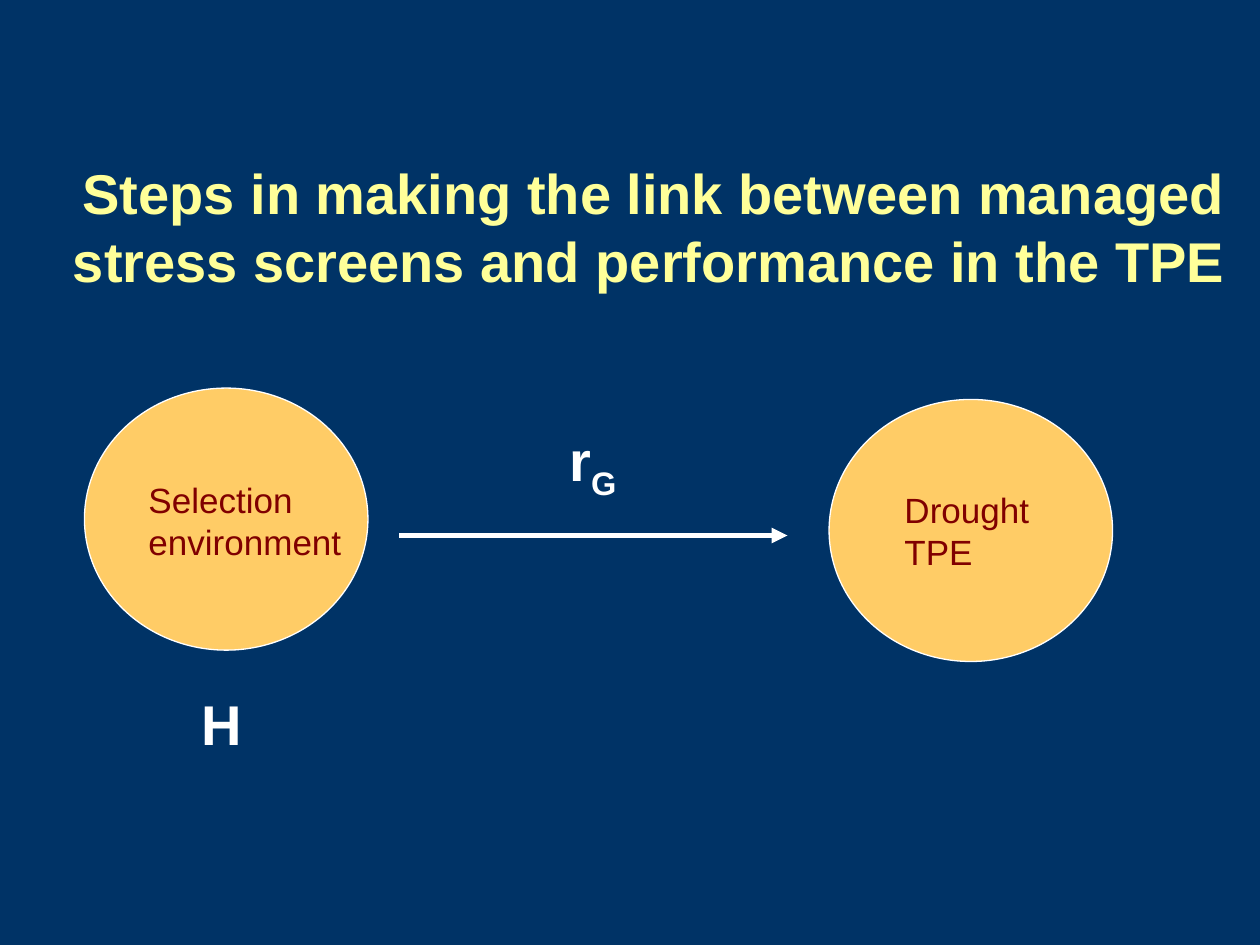
from lxml import etree
from pptx import Presentation
from pptx.dml.color import RGBColor
from pptx.enum.shapes import MSO_CONNECTOR, MSO_SHAPE
from pptx.enum.text import MSO_ANCHOR, PP_ALIGN
from pptx.oxml.ns import qn
from pptx.util import Inches, Pt

NAVY, WHITE, YELLOW = "003366", "FFFFFF", "FFFF99"
ORANGE, MAROON = "FFCC66", "800000"


def color(hex_string):
    return RGBColor.from_string(hex_string)


def format_runs(text_frame, size, hex_string, bold=False):
    for run in text_frame.paragraphs[0].runs:
        font = run.font
        font.name, font.size, font.bold = "Arial", Pt(size), bold
        font.color.rgb = color(hex_string)


def add_title(slide, text, left, top, width, height):
    title = slide.shapes.title
    title.left, title.top = Inches(left), Inches(top)
    title.width, title.height = Inches(width), Inches(height)
    text_frame = title.text_frame
    text_frame.text = text
    text_frame.word_wrap = True
    text_frame.vertical_anchor = MSO_ANCHOR.MIDDLE
    text_frame.paragraphs[0].alignment = PP_ALIGN.RIGHT
    format_runs(text_frame, 32, YELLOW, bold=True)


def add_label(slide, text, left, top, width, height, size, hex_string, bold=False):
    box = slide.shapes.add_textbox(
        Inches(left), Inches(top), Inches(width), Inches(height))
    text_frame = box.text_frame
    text_frame.text = text
    text_frame.word_wrap = True
    format_runs(text_frame, size, hex_string, bold)
    return text_frame


def add_environment(slide, text, left, top, label_dx, label_dy):
    """Draw an ellipse with a label offset from its top left corner."""
    ellipse = slide.shapes.add_shape(
        MSO_SHAPE.OVAL, Inches(left), Inches(top), Inches(2.25), Inches(2.08))
    ellipse.shadow.inherit = False
    ellipse.fill.solid()
    ellipse.fill.fore_color.rgb = color(ORANGE)
    ellipse.line.color.rgb = color(WHITE)
    ellipse.line.width = Pt(0.75)
    add_label(slide, text, left + label_dx, top + label_dy, 1.75, 0.77, 20, MAROON)


def add_correlation(slide, left, top, length):
    """Draw the arrow with the genetic correlation symbol above it."""
    arrow = slide.shapes.add_connector(
        MSO_CONNECTOR.STRAIGHT, Inches(left), Inches(top),
        Inches(left + length), Inches(top))
    arrow.line.color.rgb = color(WHITE)
    arrow.line.width = Pt(3)
    etree.SubElement(arrow.line._get_or_add_ln(), qn("a:tailEnd"), type="triangle")
    etree.SubElement(arrow._element.spPr, qn("a:effectLst"))

    symbol = add_label(slide, "r", left + 1.25, top - 0.92, 0.83, 0.71, 32, WHITE, True)
    subscript = symbol.paragraphs[0].add_run()
    subscript.text = "G"
    format_runs(symbol, 32, WHITE, bold=True)
    subscript.font._element.set("baseline", "-25000")


def main():
    presentation = Presentation()
    presentation.slide_width, presentation.slide_height = Inches(10), Inches(7.5)
    slide = presentation.slides.add_slide(presentation.slide_layouts[5])
    slide.background.fill.solid()
    slide.background.fill.fore_color.rgb = color(NAVY)

    add_title(slide, "Steps in making the link between managed stress screens "
              "and performance in the TPE", 0, 1.17, 9.83, 1.25)
    add_environment(slide, "Selection environment", 0.67, 3.08, 0.41, 0.67)
    add_correlation(slide, 3.17, 4.25, 3.08)
    add_environment(slide, "Drought TPE", 6.58, 3.17, 0.5, 0.66)
    add_label(slide, "H", 1.5, 5.42, 1.42, 0.64, 32, WHITE, bold=True)
    presentation.save("out.pptx")


if __name__ == "__main__":
    main()
